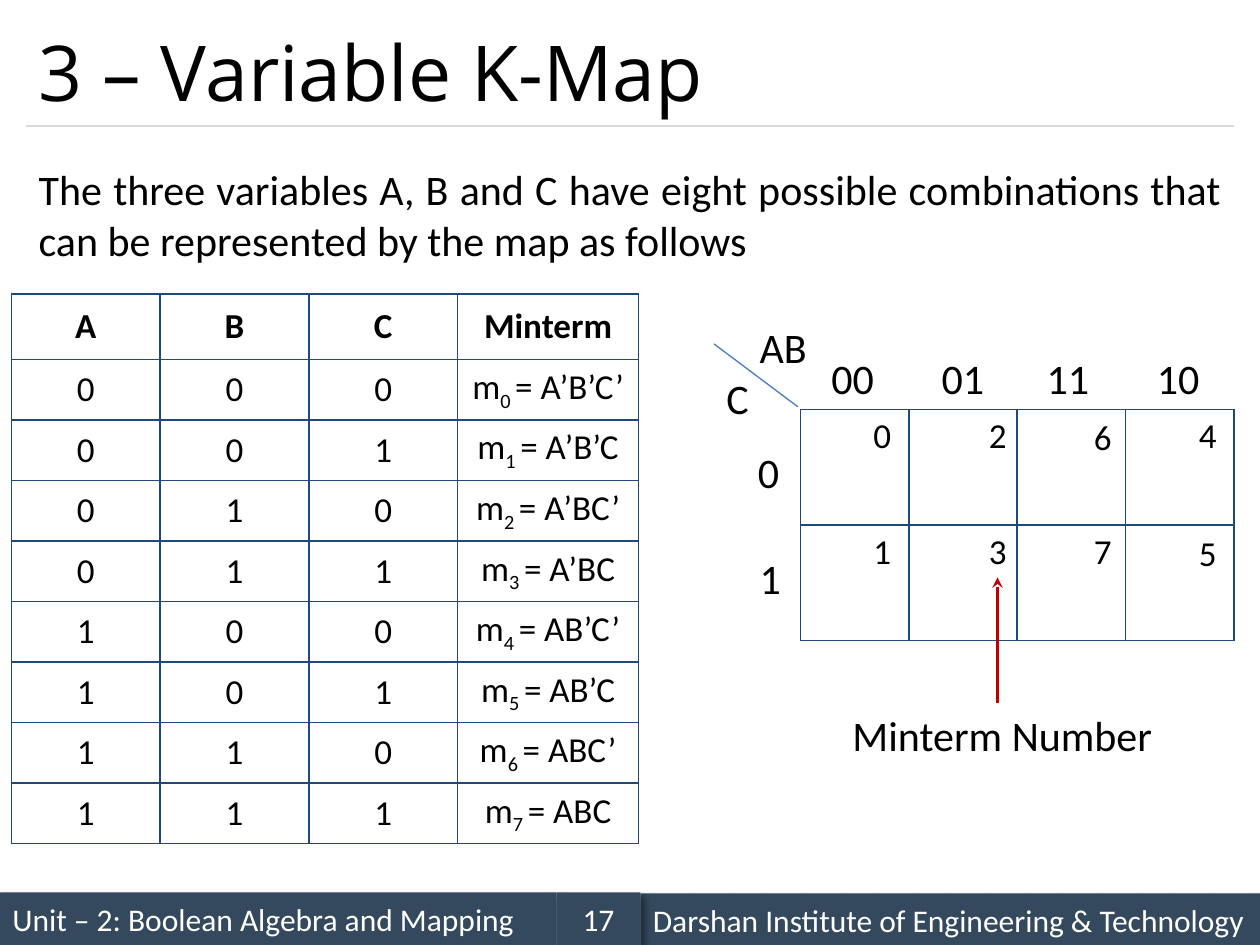
from lxml import etree
from pptx import Presentation
from pptx.dml.color import RGBColor
from pptx.enum.shapes import MSO_CONNECTOR, MSO_SHAPE
from pptx.enum.text import MSO_ANCHOR, MSO_AUTO_SIZE, PP_ALIGN
from pptx.oxml import parse_xml
from pptx.oxml.ns import nsdecls, qn
from pptx.util import Pt

LEFT, CENTER, JUSTIFY = PP_ALIGN.LEFT, PP_ALIGN.CENTER, PP_ALIGN.JUSTIFY
MIDDLE = MSO_ANCHOR.MIDDLE
STRAIGHT, RECTANGLE = MSO_CONNECTOR.STRAIGHT, MSO_SHAPE.RECTANGLE
GROW = MSO_AUTO_SIZE.SHAPE_TO_FIT_TEXT
COLORS = {
    "text": "000000",
    "white": "FFFFFF",
    "footer": "34495E",
    "rule": "D9D9D9",
    "grid": "1F497D",
    "diagonal": "4B7EBC",
    "arrow": "C00000",
}


def write(frame, text, size, color="text", align=LEFT, name="Calibri", bold=False):
    para = frame.paragraphs[0]
    para.alignment = align
    para.font.size = Pt(size)
    para.font.name = name
    para.font.bold = bold
    para.font.color.rgb = RGBColor.from_string(COLORS[color])
    if text:
        para.add_run().text = text
    return para


def add_grid(left, top, widths, heights):
    table = page.shapes.add_table(
        len(heights), len(widths), Pt(left), Pt(top), Pt(sum(widths)), Pt(sum(heights))
    ).table
    table.first_row = table.horz_banding = False
    for column, width in zip(table.columns, widths):
        column.width = Pt(width)
    for row, height in zip(table.rows, heights):
        row.height = Pt(height)
    for cell in table.iter_cells():
        cell.vertical_anchor = MIDDLE
        properties = cell._tc.get_or_add_tcPr()
        for side in ("lnL", "lnR", "lnT", "lnB"):
            properties.append(parse_xml(
                f'<a:{side} {nsdecls("a")} w="12700"><a:solidFill>'
                f'<a:srgbClr val="{COLORS["grid"]}"/></a:solidFill></a:{side}>'
            ))
        cell.fill.background()
    return table


deck = Presentation()
deck.slide_width, deck.slide_height = Pt(720), Pt(540)
page = deck.slides.add_slide(deck.slide_layouts[6])

for left, top, width, text, align in (
    (0, 510, 318, "Unit – 2: Boolean Algebra and Mapping", LEFT),
    (366, 510.5, 354, "Darshan Institute of Engineering & Technology", LEFT),
    (318, 510, 48, "17", CENTER),
):
    bar = page.shapes.add_shape(RECTANGLE, Pt(left), Pt(top), Pt(width), Pt(30))
    bar.fill.solid()
    bar.fill.fore_color.rgb = RGBColor.from_string(COLORS["footer"])
    bar.line.fill.background()
    bar.shadow.inherit = False
    bar._element.spPr.find(qn("a:effectLst")).append(parse_xml(
        f'<a:outerShdw {nsdecls("a")} blurRad="50800" dist="38100" dir="2700000">'
        '<a:srgbClr val="000000"><a:alpha val="40000"/></a:srgbClr></a:outerShdw>'
    ))
    bar.text_frame.vertical_anchor = MIDDLE
    bar.text_frame.word_wrap = True
    write(bar.text_frame, text, 18, "white", align)

title = page.shapes.add_textbox(Pt(15), Pt(9), Pt(690), Pt(63)).text_frame
title.word_wrap = True
title.vertical_anchor = MIDDLE
write(title, "3 – Variable K-Map", 44, name="Open Sans")

intro = page.shapes.add_textbox(Pt(15), Pt(90), Pt(690), Pt(65.5)).text_frame
intro.word_wrap = True
intro.auto_size = GROW
write(
    intro,
    "The three variables A, B and C have eight possible combinations "
    "that can be represented by the map as follows",
    24,
    align=JUSTIFY,
)

truth_table = add_grid(6.5, 168, [85, 85, 85, 103.5], [37.5] + [34.6] * 8)
for column, heading in enumerate(("A", "B", "C", "Minterm")):
    write(truth_table.cell(0, column).text_frame, heading, 20, align=CENTER, bold=True)
for number in range(8):
    bits = f"{number:03b}"
    for column, bit in enumerate(bits):
        write(truth_table.cell(number + 1, column).text_frame, bit, 20, align=CENTER)
    literals = "".join(
        letter + ("’" if bit == "0" else "") for letter, bit in zip("ABC", bits)
    )
    para = write(truth_table.cell(number + 1, 3).text_frame, "m", 20, align=CENTER)
    span = para.add_run()
    span.text = f"{number} "
    span.font._element.set("baseline", "-25000")
    para.add_run().text = f"= {literals}"

add_grid(457.5, 234, [61.9] * 4, [66] * 2)

labels = [
    ("AB", 427, 180, 42, 24),
    ("C", 408, 209.5, 27, 24),
    ("0", 426, 251.5, 26.5, 24),
    ("1", 427, 312, 26.5, 24),
    ("Minterm Number", 480, 402, 187, 24),
]
for text, left in (("00", 468), ("01", 531), ("11", 591), ("10", 654)):
    labels.append((text, left, 198, 39, 24))
for left, numbers, tops in (
    (492, "01", (232.5, 299)),
    (558, "23", (232.5, 299)),
    (618, "67", (234, 299)),
    (678, "45", (232.5, 300)),
):
    for text, top in zip(numbers, tops):
        labels.append((text, left, top, 24.5, 20))
for text, left, top, width, size in labels:
    height = 36 if size == 24 else 31.5
    frame = page.shapes.add_textbox(Pt(left), Pt(top), Pt(width), Pt(height)).text_frame
    frame.word_wrap = False
    frame.auto_size = GROW
    write(frame, text, size)

for x1, y1, x2, y2, color, weight in (
    (15, 72, 705, 72, "rule", 0.75),
    (456, 232.5, 408, 196.5, "diagonal", 0.75),
    (570, 330, 570, 402, "arrow", 2),
):
    line = page.shapes.add_connector(STRAIGHT, Pt(x1), Pt(y1), Pt(x2), Pt(y2))
    line.line.color.rgb = RGBColor.from_string(COLORS[color])
    line.line.width = Pt(weight)
    if color == "arrow":
        etree.SubElement(line.line._get_or_add_ln(), qn("a:headEnd"), type="stealth")
    etree.SubElement(line._element.spPr, qn("a:effectLst"))

deck.save("out.pptx")
